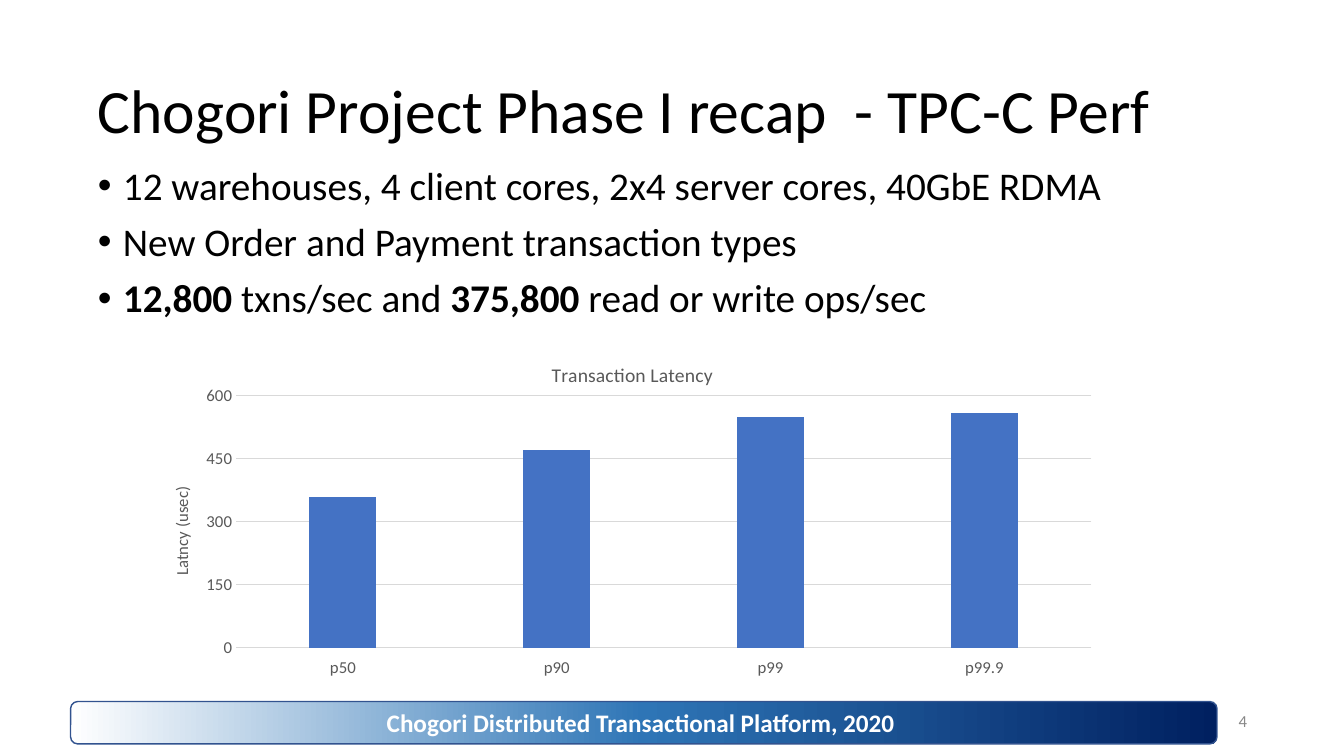
"""Build the transaction latency recap slide."""
import copy

import pptx
import pptx.chart.data
import pptx.dml.color
import pptx.enum.chart
import pptx.enum.shapes
import pptx.enum.text
import pptx.oxml
import pptx.oxml.ns
import pptx.util

WIDE, HIGH = 13.33, 7.5
FACE = "Calibri"
HUES = {"ink": "000000", "white": "FFFFFF", "blue": "2E75B6", "navy": "002060",
        "edge": "32538F", "bar": "4472C4", "text": "595959", "grid": "D9D9D9",
        "page": "888888"}
ALIGN = pptx.enum.text.PP_ALIGN
MIDDLE = pptx.enum.text.MSO_ANCHOR.MIDDLE
qn = pptx.oxml.ns.qn


def hue(name):
    return pptx.dml.color.RGBColor.from_string(HUES[name])


def place(left, top, width, height):
    """Turn percentages of the slide into lengths."""
    sizes = (WIDE, HIGH, WIDE, HIGH)
    return [pptx.util.Inches(share * size / 100)
            for share, size in zip((left, top, width, height), sizes)]


class Page:
    def __init__(self, deck):
        self.slide = deck.slides.add_slide(deck.slide_layouts[1])
        self.shapes = self.slide.shapes

    def style(self, font, size, color, bold=False):
        font.name, font.size, font.bold = FACE, pptx.util.Pt(size), bold
        font.color.rgb = hue(color)

    def frame(self, shape, anchor, wrap=True):
        frame = shape.text_frame
        frame.auto_size = pptx.enum.text.MSO_AUTO_SIZE.NONE
        frame.word_wrap, frame.vertical_anchor = wrap, anchor
        frame.margin_left = frame.margin_right = pptx.util.Inches(0.05)
        frame.margin_top = frame.margin_bottom = pptx.util.Inches(0.05)
        return frame

    def move(self, shape, box):
        shape.left, shape.top, shape.width, shape.height = place(*box)

    def band(self, box, stops):
        kind = pptx.enum.shapes.MSO_SHAPE.ROUNDED_RECTANGLE
        band = self.shapes.add_shape(kind, *place(*box))
        band.shadow.inherit = False
        band.line.color.rgb, band.line.width = hue("edge"), pptx.util.Pt(1)
        band.fill.gradient()
        band.fill.gradient_angle = 0
        ramp = band._element.spPr.find(".//" + qn("a:gsLst"))
        ramp.append(copy.deepcopy(ramp[0]))
        for stop, (spot, color) in zip(band.fill.gradient_stops, stops):
            stop.position, stop.color.rgb = spot, hue(color)

    def label(self, box, text, size, color, align, bold=False, wrap=True):
        label = self.shapes.add_textbox(*place(*box))
        para = self.frame(label, MIDDLE, wrap).paragraphs[0]
        para.text, para.alignment = text, align
        self.style(para.font, size, color, bold)

    def title(self, box, text):
        shape = self.shapes.title
        self.move(shape, box)
        para = self.frame(shape, MIDDLE).paragraphs[0]
        para.text, para.alignment, para.line_spacing = text, ALIGN.LEFT, 0.9
        self.style(para.font, 44, "ink")

    def bullets(self, box, lines):
        shape = self.slide.placeholders[1]
        self.move(shape, box)
        frame = self.frame(shape, pptx.enum.text.MSO_ANCHOR.TOP)
        for row, line in enumerate(lines):
            para = frame.add_paragraph() if row else frame.paragraphs[0]
            props = para._p.get_or_add_pPr()
            dent = pptx.util.Inches(0.25)
            props.set("marL", str(dent))
            props.set("indent", str(-dent))
            props.append(pptx.oxml.parse_xml(
                f'<a:buChar {pptx.oxml.ns.nsdecls("a")} char="•"/>'))
            para.line_spacing = 0.9
            para.space_before = pptx.util.Pt(10 if row else 0)
            self.style(para.font, 28, "ink")
            for spot, part in enumerate(line.split("**")):
                if part:
                    run = para.add_run()
                    run.text = part
                    if spot % 2:
                        run.font.bold = True

    def caption(self, title, text, size):
        para = title.text_frame.paragraphs[0]
        para.text = text
        self.style(para.font, size, "text")

    def columns(self, box, title, unit, values, head, inner):
        data = pptx.chart.data.CategoryChartData()
        data.categories = list(values)
        data.add_series("Series 1", list(values.values()))
        enum = pptx.enum.chart
        chart = self.shapes.add_chart(
            enum.XL_CHART_TYPE.COLUMN_CLUSTERED, *place(*box), data).chart
        self.style(chart.font, 12, "text")
        chart.has_legend, chart.has_title = False, True
        self.caption(chart.chart_title, title, 14)
        top = chart.chart_title._element
        top.find(qn("c:overlay")).set("val", "1")
        plot = chart.plots[0]
        plot.gap_width, plot.overlap = 219, -27
        plot.vary_by_categories = False
        fill = plot.series[0].format.fill
        fill.solid()
        fill.fore_color.rgb = hue("bar")
        cats, vals = chart.category_axis, chart.value_axis
        for axis in (cats, vals):
            axis.major_tick_mark = axis.minor_tick_mark = enum.XL_TICK_MARK.NONE
            self.style(axis.tick_labels.font, 12, "text")
        cats.tick_label_position = enum.XL_TICK_LABEL_POSITION.LOW
        vals.minimum_scale, vals.maximum_scale, vals.major_unit = 0, 600, 150
        vals.tick_labels.number_format = "0"
        vals.tick_labels.number_format_is_linked = False
        vals.format.line.fill.background()
        vals.has_major_gridlines = vals.has_title = True
        self.caption(vals.axis_title, unit, 12)
        for part in (cats, vals.major_gridlines):
            part.format.line.color.rgb = hue("grid")
            part.format.line.width = pptx.util.Pt(1)
        self.inset(top, "c:overlay", head)
        area = chart._chartSpace.find(".//" + qn("c:plotArea"))
        self.inset(area, "c:barChart", inner,
                   '<c:layoutTarget val="inner"/>')

    def inset(self, part, after, shares, target=""):
        for old in part.findall(qn("c:layout")):
            part.remove(old)
        modes = '<c:xMode val="edge"/><c:yMode val="edge"/>'
        sizes = "".join(f'<c:{key} val="{share / 100}"/>'
                        for key, share in zip("xywh", shares))
        part.find(qn(after)).addprevious(pptx.oxml.parse_xml(
            f'<c:layout {pptx.oxml.ns.nsdecls("c")}><c:manualLayout>'
            f'{target}{modes}{sizes}</c:manualLayout></c:layout>'))


def main():
    deck = pptx.Presentation()
    deck.slide_width = pptx.util.Inches(WIDE)
    deck.slide_height = pptx.util.Inches(HIGH)
    page = Page(deck)
    page.band((5.25, 92.8, 85.3, 5.6),
              [(0, "white"), (0.5, "blue"), (1, "navy")])
    page.label((5.55, 92.93, 84.25, 5.33),
               "Chogori Distributed Transactional Platform, 2020",
               18, "white", ALIGN.CENTER, bold=True)
    page.title((6.9, 5.33, 86.27, 19.33),
               "Chogori Project Phase I recap  - TPC-C Perf")
    page.bullets((6.9, 21.33, 86.27, 23.33), [
        "12 warehouses, 4 client cores, 2x4 server cores, 40GbE RDMA",
        "New Order and Payment transaction types",
        "**12,800** txns/sec and **375,800** read or write ops/sec"])
    page.label((91.67, 93.6, 1.5, 3.6), "4", 12, "page", ALIGN.RIGHT,
               wrap=False)
    page.columns((12.45, 47.33, 69.1, 42.27),
                 "Transaction Latency", "Latncy (usec)",
                 {"p50": 360, "p90": 470, "p99": 550, "p99.9": 560},
                 (41, 0), (7.4, 12, 92.1, 79.4))
    deck.save("out.pptx")


if __name__ == "__main__":
    main()
